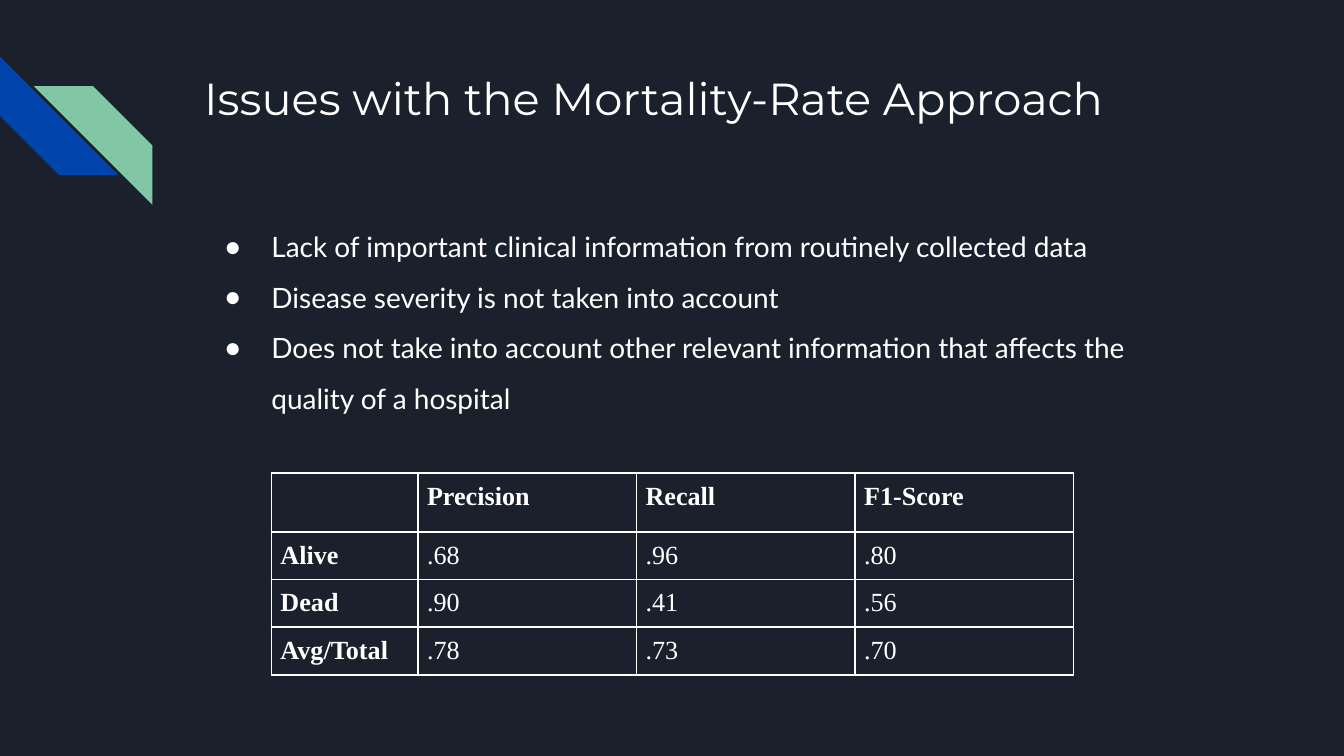
from lxml.etree import SubElement
from pptx import Presentation
from pptx.dml.color import RGBColor
from pptx.enum.shapes import MSO_SHAPE
from pptx.enum.text import MSO_ANCHOR, MSO_AUTO_SIZE, PP_ALIGN
from pptx.oxml.ns import qn
from pptx.util import Cm, Pt

WHITE = "FFFFFF"
POINTS = [
    "Lack of important clinical information from routinely collected data",
    "Disease severity is not taken into account",
    "Does not take into account other relevant information that affects the "
    "quality of a hospital",
]
SCORES = [
    ["", "Precision", "Recall", "F1-Score"],
    ["Alive", ".68", ".96", ".80"],
    ["Dead", ".90", ".41", ".56"],
    ["Avg/Total", ".78", ".73", ".70"],
]


def color(value):
    return RGBColor.from_string(value)


def style(par, name, size, bold=False):
    for run in par.runs:
        font = run.font
        font.name, font.size, font.bold = name, Pt(size), bold
        font.color.rgb = color(WHITE)


def place(shape, left, top, width, height):
    shape.left, shape.top = Cm(left), Cm(top)
    shape.width, shape.height = Cm(width), Cm(height)


def set_frame(frame, inset):
    frame.margin_left = frame.margin_right = Cm(inset)
    frame.margin_top = frame.margin_bottom = Cm(inset)
    frame.vertical_anchor = MSO_ANCHOR.TOP
    frame.word_wrap = True
    frame.auto_size = MSO_AUTO_SIZE.NONE


def add_stripe(slide, left, top, turn, fill):
    stripe = slide.shapes.add_shape(
        MSO_SHAPE.DIAGONAL_STRIPE, Cm(left), Cm(top), Cm(2.24), Cm(2.24))
    stripe.rotation = turn
    stripe.shadow.inherit = False
    stripe.fill.solid()
    stripe.fill.fore_color.rgb = color(fill)
    stripe.line.fill.background()


def set_title(slide, text):
    title = slide.shapes.title
    place(title, 3.61, 1.09, 19.56, 2.54)
    set_frame(title.text_frame, 0.25)
    title.text_frame.text = text
    par = title.text_frame.paragraphs[0]
    par.alignment = PP_ALIGN.LEFT
    style(par, "Montserrat", 24)


def add_bullet(par):
    props = par._p.get_or_add_pPr()
    props.set("marL", str(Cm(1.27)))
    props.set("indent", str(Cm(-0.89)))
    tint = SubElement(props, qn("a:buClr"))
    SubElement(tint, qn("a:srgbClr"), val=WHITE)
    SubElement(props, qn("a:buChar"), char="●")


def set_list(slide, items):
    body = slide.placeholders[1]
    place(body, 3.61, 3.78, 19.56, 8.08)
    frame = body.text_frame
    set_frame(frame, 0.25)
    frame.text = "\n".join(items)
    for par in frame.paragraphs:
        add_bullet(par)
        par.line_spacing = 1.5
        par.space_before = Pt(0)
        style(par, "Lato", 15)


def add_border(cell):
    props = cell._tc.get_or_add_tcPr()
    for side in ("lnL", "lnR", "lnT", "lnB"):
        line = SubElement(props, qn(f"a:{side}"), w=str(Pt(1)))
        fill = SubElement(line, qn("a:solidFill"))
        SubElement(fill, qn("a:srgbClr"), val=WHITE)


def add_scores(slide, rows):
    widths = [2.77] + [4.13] * 3
    heights = [1.07] + [0.9] * 3
    table = slide.shapes.add_table(
        len(rows), len(widths), Cm(5.13), Cm(8.94),
        Cm(sum(widths)), Cm(sum(heights))).table
    table.horz_banding = table.first_row = False
    for col, width in zip(table.columns, widths):
        col.width = Cm(width)
    for row, height in zip(table.rows, heights):
        row.height = Cm(height)
    for i, texts in enumerate(rows):
        for j, text in enumerate(texts):
            cell = table.cell(i, j)
            add_border(cell)
            cell.fill.background()
            cell.margin_left = cell.margin_right = Cm(0.17)
            cell.margin_top = cell.margin_bottom = Cm(0.17)
            if text:
                cell.text_frame.text = text
                style(cell.text_frame.paragraphs[0], "Times New Roman", 14,
                      bold=i == 0 or j == 0)


def main():
    deck = Presentation()
    deck.slide_width, deck.slide_height = Cm(25.4), Cm(14.29)
    slide = deck.slides.add_slide(deck.slide_layouts[1])
    slide.background.fill.solid()
    slide.background.fill.fore_color.rgb = color("1B212C")

    # Corner stripes
    add_stripe(slide, 0, 1.07, 270, "0145AC")
    add_stripe(slide, 0.64, 1.63, 90, "82C7A5")

    # Title and list
    set_title(slide, "Issues with the Mortality-Rate Approach")
    set_list(slide, POINTS)

    # Score table
    add_scores(slide, SCORES)
    deck.save("out.pptx")


if __name__ == "__main__":
    main()
